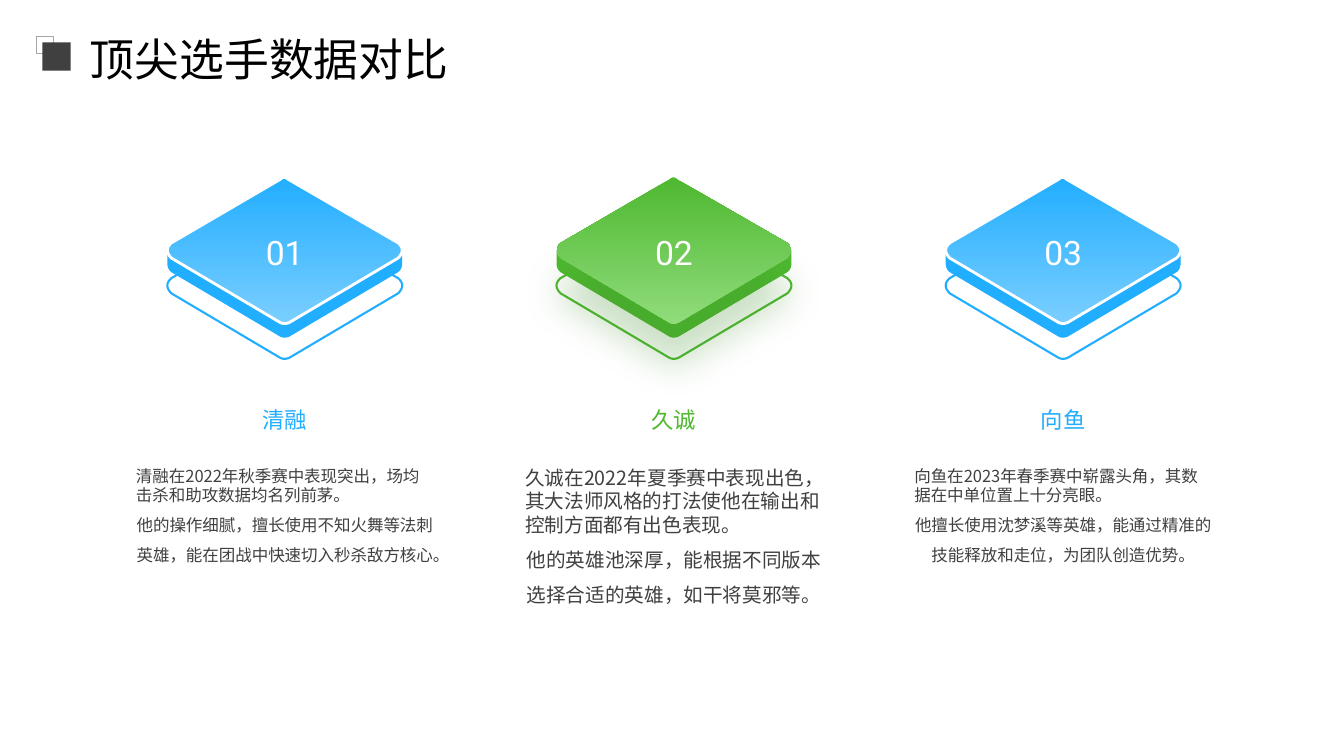
from lxml import etree
from pptx import Presentation
from pptx.dml.color import RGBColor as Rgb
from pptx.enum.shapes import MSO_SHAPE as Shape
from pptx.enum.text import MSO_ANCHOR as Anchor, PP_ALIGN as Align
from pptx.oxml.ns import qn
from pptx.util import Emu, Pt

PX = 9144
SANS = "Noto Sans CJK SC"
BLUE, GREEN, GREY, WHITE = "22AEFF", "4EB830", "404040", "FFFFFF"
STEP = 386

TOP = [(120, 2), (116, -2), (112, 2)]
LEFT = [(4, 65), (-4, 72), (4, 80)]
BASE = [(112, 144), (116, 146), (121, 144)]
RIGHT = [(229, 80), (237, 72), (229, 65)]
PLATE = [TOP, LEFT, BASE, RIGHT]
EDGE = [
    TOP,
    [(17, 58)],
    [(0, 58)],
    [(0, 71), (0, 77), (4, 80)],
    BASE,
    [(229, 80), (233, 77), (233, 71)],
    [(233, 58)],
    [(216, 58)],
]

PLAYERS = [
    ("清融", BLUE, "7ACEFF", 11.8,
     "清融在2022年秋季赛中表现突出，场均击杀和助攻数据均名列前茅。",
     "他的操作细腻，擅长使用不知火舞等法刺英雄，能在团战中快速切入秒杀敌方核心。"),
    ("久诚", GREEN, "90DC7B", 14,
     "久诚在2022年夏季赛中表现出色，其大法师风格的打法使他在输出和控制方面都有出色表现。",
     "他的英雄池深厚，能根据不同版本选择合适的英雄，如干将莫邪等。"),
    ("向鱼", BLUE, "7ACEFF", 11.8,
     "向鱼在2023年春季赛中崭露头角，其数据在中单位置上十分亮眼。",
     "他擅长使用沈梦溪等英雄，能通过精准的技能释放和走位，为团队创造优势。"),
]


def paint(color, hue):
    color.rgb = Rgb.from_string(hue)


def style(shape, fill=None, line=None, width=1):
    shape.shadow.inherit = False
    if fill:
        shape.fill.solid()
        paint(shape.fill.fore_color, fill)
    else:
        shape.fill.background()
    if line:
        paint(shape.line.color, line)
        shape.line.width = Pt(width)
    else:
        shape.line.fill.background()


def shade(shape, hue, pale):
    shape.fill.gradient()
    shape.fill.gradient_angle = 270
    for stop, tone in zip(shape.fill.gradient_stops, (hue, pale)):
        paint(stop.color, tone)


def glow(shape, hue):
    effect = shape._element.spPr.find(qn("a:effectLst"))
    drop = etree.SubElement(
        effect, qn("a:outerShdw"), blurRad=str(Pt(26)), dist=str(Pt(30)),
        dir="5400000", algn="t", rotWithShape="0")
    tone = etree.SubElement(drop, qn("a:srgbClr"), val=hue)
    etree.SubElement(tone, qn("a:alpha"), val="25000")


def bend(corner):
    if len(corner) == 1:
        return corner
    a, b, c = corner
    steps = [n / 8 for n in range(9)]
    return [
        tuple((1 - t) ** 2 * p + 2 * t * (1 - t) * q + t * t * r
              for p, q, r in zip(a, b, c))
        for t in steps
    ]


def trace(slide, left, top, corners):
    spots = [((left + x) * PX, (top + y) * PX)
             for corner in corners for x, y in bend(corner)]
    path = slide.shapes.build_freeform(*spots[0], scale=1.0)
    path.add_line_segments(spots[1:], close=True)
    return path.convert_to_shape()


def write(para, text, size, hue, gap, align=Align.CENTER, face=SANS):
    para.text = text
    para.alignment = align
    para.line_spacing = gap
    para.space_before = Pt(0)
    font = para.font
    font.size = Pt(size)
    font.name = face
    font.bold = False
    paint(font.color, hue)
    etree.SubElement(font._element, qn("a:ea"), typeface=face)


def frame(shape, anchor, inset=True):
    body = shape.text_frame
    body.word_wrap = True
    body.vertical_anchor = anchor
    if not inset:
        body.margin_left = body.margin_right = 0
        body.margin_top = body.margin_bottom = 0
    return body


def place(*box):
    return [Emu(n * PX) for n in box]


def label(slide, box, anchor=Anchor.MIDDLE, inset=True):
    return frame(slide.shapes.add_textbox(*place(*box)), anchor, inset)


def square(slide, x, y, side, **look):
    shape = slide.shapes.add_shape(Shape.RECTANGLE, *place(x, y, side, side))
    style(shape, **look)


def head(slide, text):
    title = slide.shapes.title
    title.left, title.top, title.width, title.height = place(89, 29, 1190, 47)
    body = frame(title, Anchor.MIDDLE, False)
    write(body.paragraphs[0], text, 32, "000000", 1.2, Align.LEFT)
    square(slide, 36, 36, 17, line="A6A6A6")
    square(slide, 42, 42, 28, fill=GREY)


def stack(slide, left, mark, hue, pale):
    style(trace(slide, left, 211, PLATE), line=hue, width=1.5)
    style(trace(slide, left, 190, EDGE), fill=hue)
    plate = trace(slide, left, 176, PLATE)
    if hue == GREEN:
        style(plate)
        glow(plate, "3A8A24")
    else:
        style(plate, line=WHITE, width=2)
    shade(plate, hue, pale)
    body = label(slide, (left + 85, 217, 63, 55), inset=False)
    write(body.paragraphs[0], mark, 24, WHITE, 1.3, face="Roboto")


def card(slide, left, name, hue, size, feat, skill):
    body = label(slide, (left, 378, 315, 71))
    write(body.paragraphs[0], name, 16, hue, 1.2)
    body = label(slide, (left, 457, 315, 179), Anchor.TOP)
    write(body.paragraphs[0], feat, size, GREY, 1.0, Align.LEFT)
    write(body.add_paragraph(), skill, size, GREY, 1.5)


def main():
    deck = Presentation()
    deck.slide_width, deck.slide_height = place(1333, 750)
    slide = deck.slides.add_slide(deck.slide_layouts[5])
    head(slide, "顶尖选手数据对比")
    for n, (name, hue, pale, size, feat, skill) in enumerate(PLAYERS):
        stack(slide, 166 + n * STEP, f"{n + 1:02}", hue, pale)
        card(slide, 125 + n * STEP, name, hue, size, feat, skill)
    deck.save("out.pptx")


if __name__ == "__main__":
    main()
